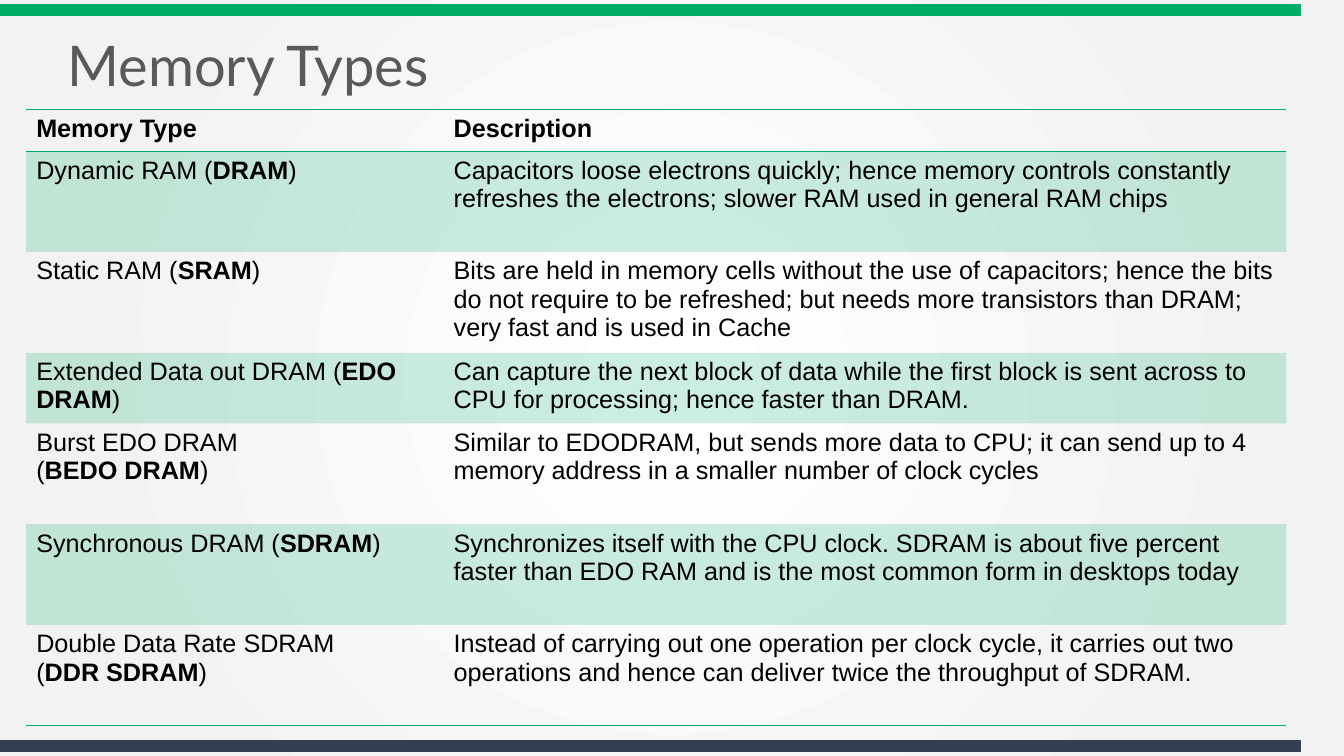
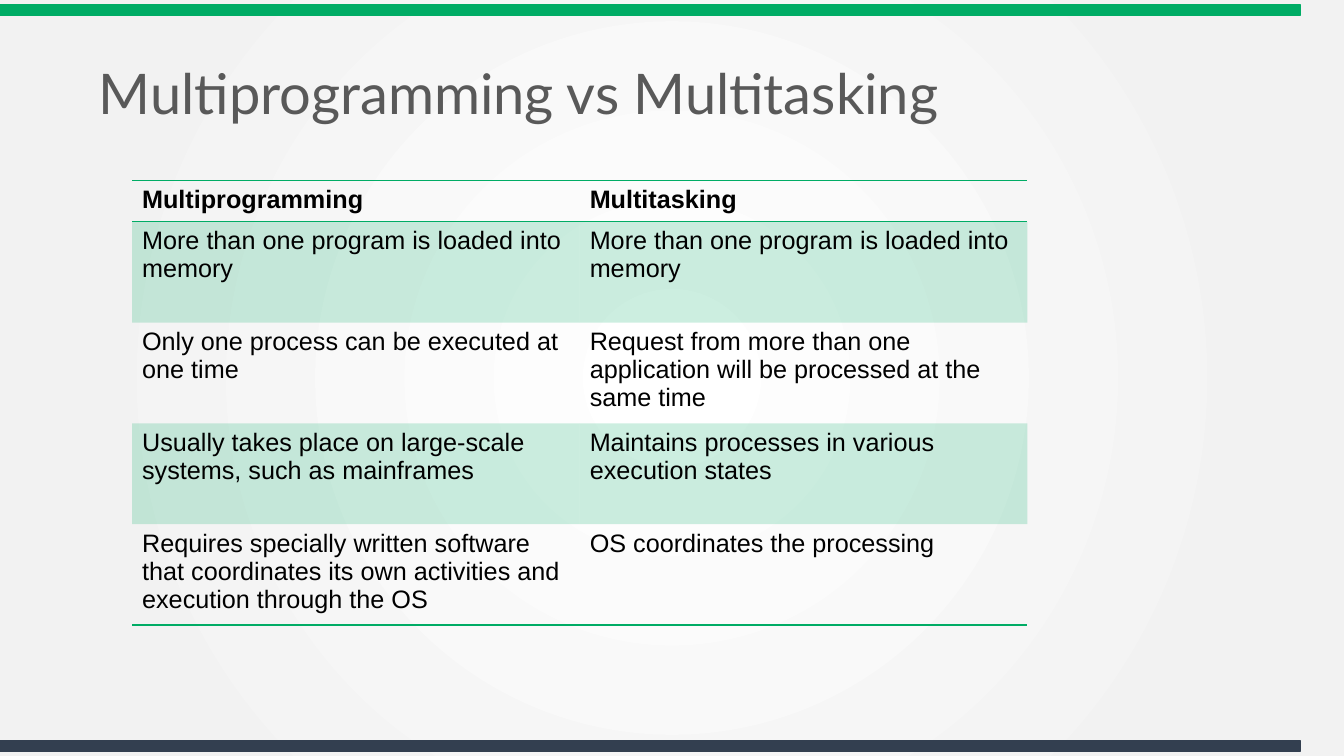
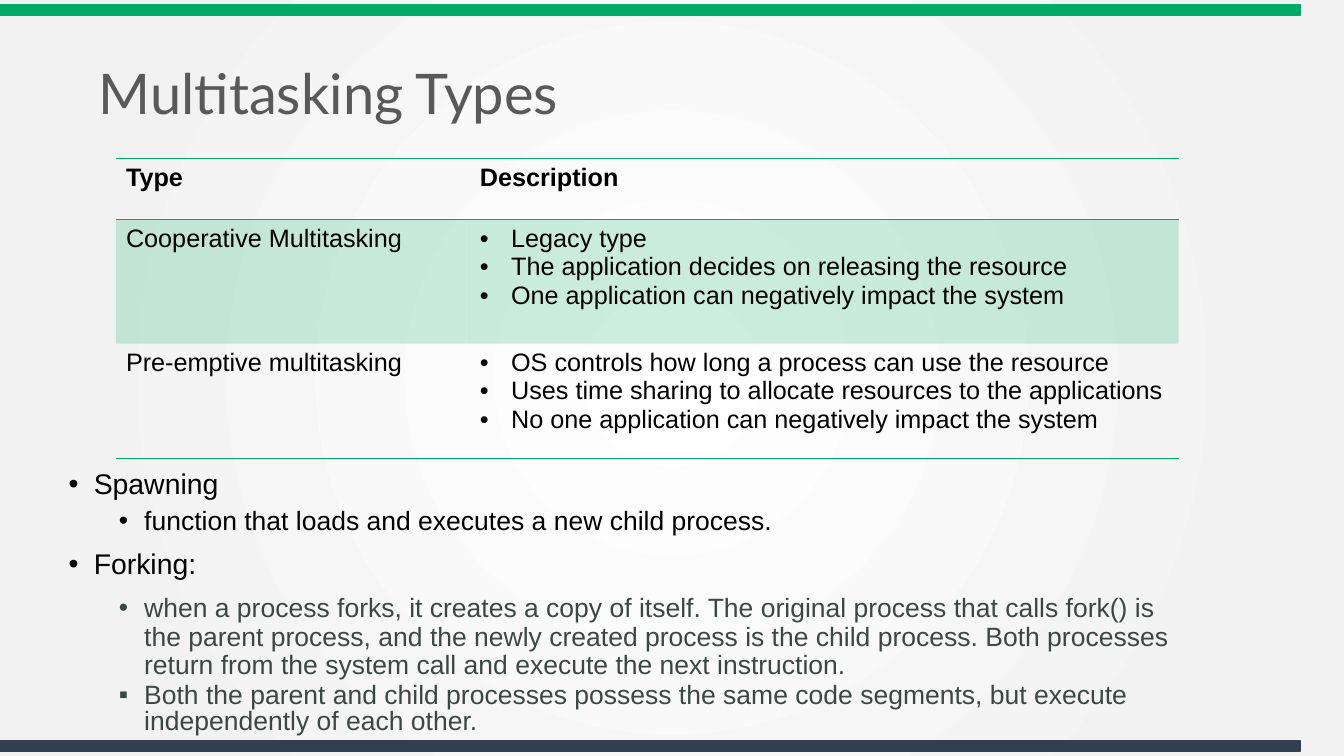
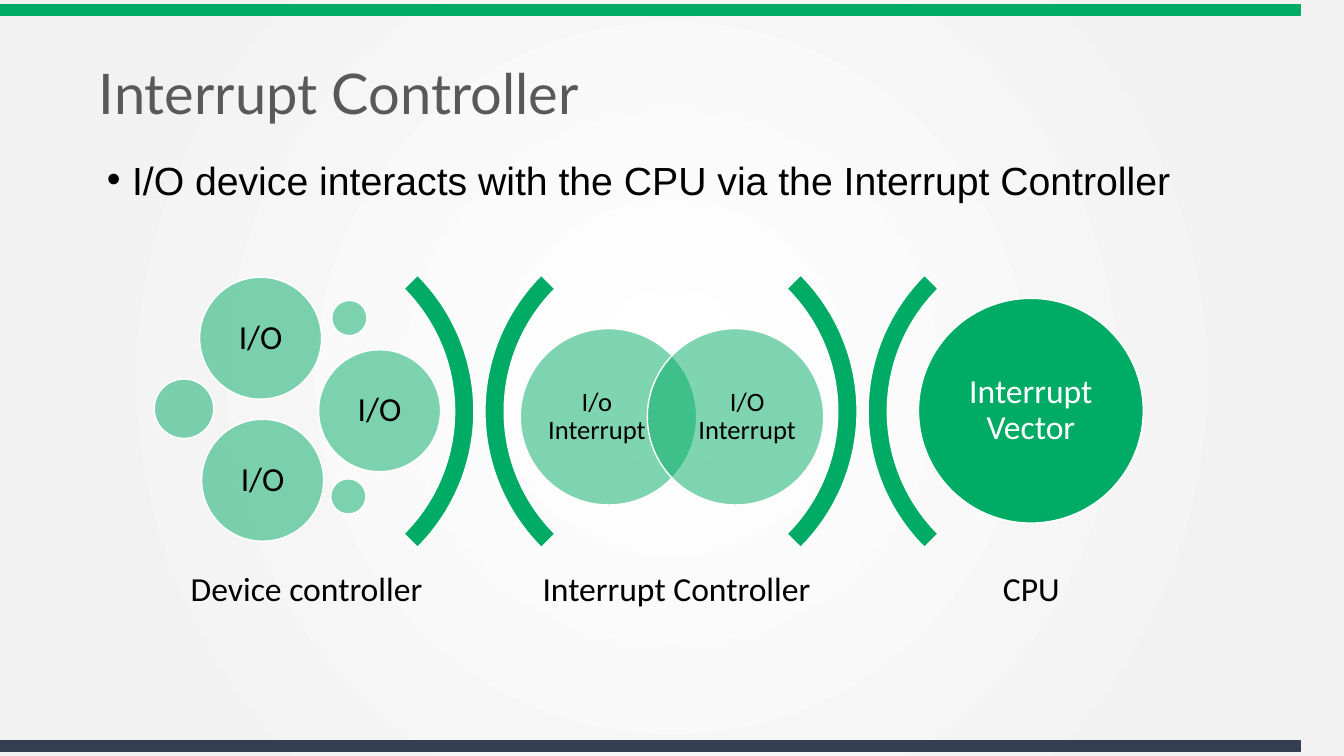
from lxml.etree import SubElement
from pptx import Presentation
from pptx.dml.color import RGBColor
from pptx.enum.shapes import MSO_SHAPE
from pptx.enum.text import MSO_ANCHOR, MSO_AUTO_SIZE, PP_ALIGN
from pptx.oxml import parse_xml
from pptx.oxml.ns import nsdecls, qn
from pptx.util import Inches, Pt

# Shared colours and formats
GREEN = RGBColor(0x00, 0xAC, 0x65)
NAVY = RGBColor(0x33, 0x3F, 0x50)
TITLE_GRAY = RGBColor(0x59, 0x59, 0x59)
TEXT_GRAY = RGBColor(0x3C, 0x47, 0x43)
PALE_GRAY = RGBColor(0xF2, 0xF2, 0xF2)
BLACK = RGBColor(0x00, 0x00, 0x00)
WHITE = RGBColor(0xFF, 0xFF, 0xFF)

TITLE_FONT = {"name": "Lato", "size": Pt(40), "bold": False}
TABLE_FONT = {"name": "Arial", "size": Pt(18)}
DIAGRAM_FONT = {"name": "Calibri", "size": Pt(24)}
NO_INSETS = {"margin_left": 0, "margin_right": 0, "margin_top": 0, "margin_bottom": 0}
NO_GRID_STYLE = "{2D5ABB26-0587-4C30-8999-92F81FD0307C}"
TITLE_ONLY, TITLE_AND_BODY = 5, 1

# Slide content; ** switches bold on and off, a list becomes bullets
MEMORY_ROWS = [
    ("Memory Type", "Description"),
    ("Dynamic RAM (**DRAM**)",
     "Capacitors loose electrons quickly; hence memory controls constantly "
     "refreshes the electrons; slower RAM used in general RAM chips"),
    ("Static RAM (**SRAM**)",
     "Bits are held in memory cells without the use of capacitors; hence the bits "
     "do not require to be refreshed; but needs more transistors than DRAM; "
     "very fast and is used in Cache"),
    ("Extended Data out DRAM (**EDO DRAM**)",
     "Can capture the next block of data while the first block is sent across to "
     "CPU for processing; hence faster than DRAM."),
    ("Burst EDO DRAM\n(**BEDO DRAM**)",
     "Similar to EDODRAM, but sends more data to CPU; it can send up to 4 "
     "memory address in a smaller number of clock cycles"),
    ("Synchronous DRAM (**SDRAM**)",
     "Synchronizes itself with the CPU clock. SDRAM is about five percent "
     "faster than EDO RAM and is the most common form in desktops today"),
    ("Double Data Rate SDRAM\n(**DDR SDRAM**)",
     "Instead of carrying out one operation per clock cycle, it carries out two "
     "operations and hence can deliver twice the throughput of SDRAM."),
]
COMPARISON_ROWS = [
    ("Multiprogramming", "Multitasking"),
    ("More than one program is loaded into memory",
     "More than one program is loaded into memory"),
    ("Only one process can be executed at one time",
     "Request from more than one application will be processed at the same time"),
    ("Usually takes place on large-scale systems, such as mainframes",
     "Maintains processes in various execution states"),
    ("Requires specially written software that coordinates its own activities and "
     "execution through the OS",
     "OS coordinates the processing"),
]
TYPE_ROWS = [
    ("Type", "Description"),
    ("Cooperative Multitasking",
     ["Legacy type",
      "The application decides on releasing the resource",
      "One application can negatively impact the system"]),
    ("Pre-emptive multitasking",
     ["OS controls how long a process can use the resource",
      "Uses time sharing to allocate resources to the applications",
      "No one application can negatively impact the system"]),
]
FORKING = (
    "when a\u00a0process\u00a0forks, it creates a\u00a0copy\u00a0of itself. The original "
    "process that calls fork() is the\u00a0parent process, and the newly created process "
    "is the\u00a0child process. Both processes return from the system call and execute "
    "the next instruction."
)
# Text, level, size, colour, line spacing, space before, bullet
PROCESS_POINTS = [
    ("Spawning", 0, 20.3, BLACK, 0.9, 10, "•"),
    ("function that loads and executes a new child process.", 1, 18.9, BLACK, 0.9, 5, "•"),
    ("Forking:", 0, 20.3, BLACK, 0.9, 10, "•"),
    (FORKING, 2, 18.9, TEXT_GRAY, 0.9, 10, "•"),
    ("Both the parent and child processes possess the same code segments, but execute "
     "independently of each other.", 1, 18.9, TEXT_GRAY, 0.8, 3, "▪"),
]
INTERRUPT_POINTS = [
    ("I/O device interacts with the CPU via the Interrupt Controller",
     0, 28, BLACK, 1.1, 10, "•"),
]


# Formatting helpers
def apply_format(target, values):
    for name, value in values.items():
        setattr(target, name, value)


def place(shape, left, top, width, height):
    apply_format(shape, {"left": Inches(left), "top": Inches(top),
                         "width": Inches(width), "height": Inches(height)})


def set_fill(fill, color, opacity=100):
    fill.solid()
    fill.fore_color.rgb = color
    if opacity < 100:
        color_element = fill._xPr.find(qn("a:solidFill"))[0]
        SubElement(color_element, qn("a:alpha"), val=str(opacity * 1000))


def add_run(paragraph, text, font, color, bold=None):
    run = paragraph.add_run()
    run.text = text
    apply_format(run.font, font)
    run.font.color.rgb = color
    if bold is not None:
        run.font.bold = bold


def set_bullet(paragraph, character, left, hanging):
    properties = paragraph._p.get_or_add_pPr()
    properties.set("marL", str(Inches(left)))
    properties.set("indent", str(-Inches(hanging)))
    SubElement(properties, qn("a:buFont"), typeface="Arial")
    SubElement(properties, qn("a:buChar"), char=character)


def paragraphs_for(text_frame, items):
    """Yield one paragraph for each item, starting with the existing one."""
    for index, item in enumerate(items):
        yield (text_frame.add_paragraph() if index else text_frame.paragraphs[0]), item


# Shared master: background and bands
def style_master(master, slide):
    fill = master.background.fill
    fill.gradient()
    for stop, color, position in zip(fill.gradient_stops, (WHITE, PALE_GRAY), (0, 0.81)):
        stop.color.rgb = color
        stop.position = position
    gradient = master._element.find(".//" + qn("a:gradFill"))
    gradient.replace(gradient.find(qn("a:lin")), parse_xml(
        f'<a:path {nsdecls("a")} path="circle">'
        '<a:fillToRect l="50000" t="50000" r="50000" b="50000"/></a:path>'))

    for index, (top, color) in enumerate([(0.05, GREEN), (7.35, NAVY)]):
        band = add_shape(slide, MSO_SHAPE.RECTANGLE, (0, top, 12.9, 0.1), color, color)
        band._element.nvSpPr.cNvPr.set("id", str(101 + index))
        master.shapes._spTree.insert(2 + index, band._element)


# Slide elements
def add_slide(presentation, layout, title, left=0.88, top=0.56):
    slide = presentation.slides.add_slide(presentation.slide_layouts[layout])
    place(slide.shapes.title, left, top, 11.7, 0.8)
    text_frame = slide.shapes.title.text_frame
    apply_format(text_frame, {"vertical_anchor": MSO_ANCHOR.MIDDLE, "word_wrap": True,
                              "auto_size": MSO_AUTO_SIZE.NONE})
    paragraph = text_frame.paragraphs[0]
    apply_format(paragraph, {"alignment": PP_ALIGN.LEFT, "line_spacing": 0.9})
    add_run(paragraph, title, TITLE_FONT, TITLE_GRAY)
    return slide


def fill_body(slide, box, points):
    body = slide.placeholders[1]
    place(body, *box)
    body.text_frame.auto_size = MSO_AUTO_SIZE.NONE
    for paragraph, point in paragraphs_for(body.text_frame, points):
        text, level, size, color, line_spacing, before, bullet = point
        set_bullet(paragraph, bullet, 0.75 if level else 0.25, 0.25)
        apply_format(paragraph, {"level": level, "line_spacing": line_spacing,
                                 "space_before": Pt(before), "space_after": Pt(0)})
        add_run(paragraph, text, {"name": "Arial", "size": Pt(size)}, color)


def add_shape(slide, kind, box, color, line_color=WHITE, opacity=100):
    shape = slide.shapes.add_shape(kind, *(Inches(value) for value in box))
    shape.shadow.inherit = False
    set_fill(shape.fill, color, opacity)
    shape.line.color.rgb = line_color
    shape.line.width = Pt(1)
    return shape


def write_cell(cell, content, header):
    bulleted = isinstance(content, list)
    lines = content if bulleted else content.split("\n")
    for paragraph, line in paragraphs_for(cell.text_frame, lines):
        if bulleted:
            set_bullet(paragraph, "•", 0.31, 0.31)
        for part, text in enumerate(line.split("**")):
            if text:
                add_run(paragraph, text, TABLE_FONT, BLACK, header or part % 2 == 1)


def add_cell_borders(cell, edges):
    for position, edge in enumerate(edges):
        border = parse_xml(
            f'<a:{edge} {nsdecls("a")} w="12700"><a:solidFill>'
            f'<a:srgbClr val="{GREEN}"/></a:solidFill></a:{edge}>')
        cell._tc.get_or_add_tcPr().insert(position, border)


def add_banded_table(slide, left, top, widths, heights, rows):
    frame = slide.shapes.add_table(
        len(rows), len(widths), Inches(left), Inches(top),
        Inches(sum(widths)), Inches(sum(heights)))
    table = frame.table
    table._tbl.tblPr.find(qn("a:tableStyleId")).text = NO_GRID_STYLE
    for column, width in zip(table.columns, widths):
        column.width = Inches(width)
    for row_index, (height, contents) in enumerate(zip(heights, rows)):
        table.rows[row_index].height = Inches(height)
        for column_index, content in enumerate(contents):
            cell = table.cell(row_index, column_index)
            write_cell(cell, content, header=row_index == 0)
            if row_index % 2:
                set_fill(cell.fill, GREEN, 20)
            else:
                cell.fill.background()
            if row_index == 0:
                add_cell_borders(cell, ["lnT", "lnB"])
            elif row_index == len(rows) - 1:
                add_cell_borders(cell, ["lnB"])


# Diagram elements
def write_centered(shape, text, color=BLACK, size=24, insets=None):
    text_frame = shape.text_frame
    apply_format(text_frame, {**NO_INSETS, "word_wrap": True,
                              "vertical_anchor": MSO_ANCHOR.MIDDLE, **(insets or {})})
    paragraph = text_frame.paragraphs[0]
    apply_format(paragraph, {"alignment": PP_ALIGN.CENTER, "line_spacing": 0.9})
    add_run(paragraph, text, {**DIAGRAM_FONT, "size": Pt(size)}, color)


def add_circle(slide, left, top, diameter, opacity=50):
    box = (left, top, diameter, diameter)
    return add_shape(slide, MSO_SHAPE.OVAL, box, GREEN, opacity=opacity)


def add_arc(slide, left, rotation):
    arc = add_shape(slide, MSO_SHAPE.BLOCK_ARC, (left, 2.17, 3.82, 3.82), GREEN)
    arc.rotation = rotation
    for index, value in enumerate((135, 189, 0.05)):
        arc.adjustments[index] = value


def add_caption(slide, left, text):
    caption = slide.shapes.add_textbox(Inches(left), Inches(5.48), Inches(2.9), Inches(0.76))
    write_centered(caption, text)


def draw_interrupt_diagram(slide):
    # Brackets between the stages
    for left, rotation in [(0.88, 90), (4.81, 270), (4.68, 90), (8.61, 270)]:
        add_arc(slide, left, rotation)

    # Overlapping interrupts, with the text kept clear of the overlap
    for left, text, inner_side in [(5.16, "I/o Interrupt", "margin_right"),
                                   (6.42, "I/O Interrupt", "margin_left")]:
        circle = add_circle(slide, left, 3.26, 1.75)
        write_centered(circle, text, size=19, insets={inner_side: Inches(0.23)})

    # Devices
    for left, top in [(1.98, 2.75), (3.16, 3.47), (2, 4.16)]:
        write_centered(add_circle(slide, left, top, 1.21), "I/O")
    for left, top, diameter in [(1.53, 3.76, 0.59), (3.29, 2.98, 0.35), (3.28, 4.75, 0.35)]:
        add_circle(slide, left, top, diameter)

    # Processor and captions
    processor = add_circle(slide, 9.11, 2.96, 2.23, opacity=100)
    write_centered(processor, "Interrupt Vector", WHITE)
    for left, text in [(1.59, "Device controller"), (5.26, "Interrupt Controller"),
                       (8.78, "CPU")]:
        add_caption(slide, left, text)


def main():
    presentation = Presentation()
    presentation.slide_width = Inches(13.33)
    presentation.slide_height = Inches(7.5)

    memory = add_slide(presentation, TITLE_ONLY, "Memory Types", 0.57, 0.28)
    style_master(presentation.slide_master, memory)
    add_banded_table(memory, 0.26, 1.09, [4.14, 8.36],
                     [0.41, 1, 1, 0.7, 1, 1, 1], MEMORY_ROWS)

    comparison = add_slide(presentation, TITLE_ONLY, "Multiprogramming vs Multitasking")
    add_banded_table(comparison, 1.31, 1.79, [4.44, 4.44],
                     [0.41, 1, 1, 1, 1], COMPARISON_ROWS)

    types = add_slide(presentation, TITLE_AND_BODY, "Multitasking Types")
    add_banded_table(types, 1.15, 1.57, [3.51, 7.03], [0.61, 1.23, 1.14], TYPE_ROWS)
    fill_body(types, (0.58, 4.61, 11.67, 2.97), PROCESS_POINTS)

    interrupt = add_slide(presentation, TITLE_AND_BODY, "Interrupt Controller")
    fill_body(interrupt, (0.96, 1.45, 11.37, 5.29), INTERRUPT_POINTS)
    draw_interrupt_diagram(interrupt)

    presentation.save("out.pptx")


main()
